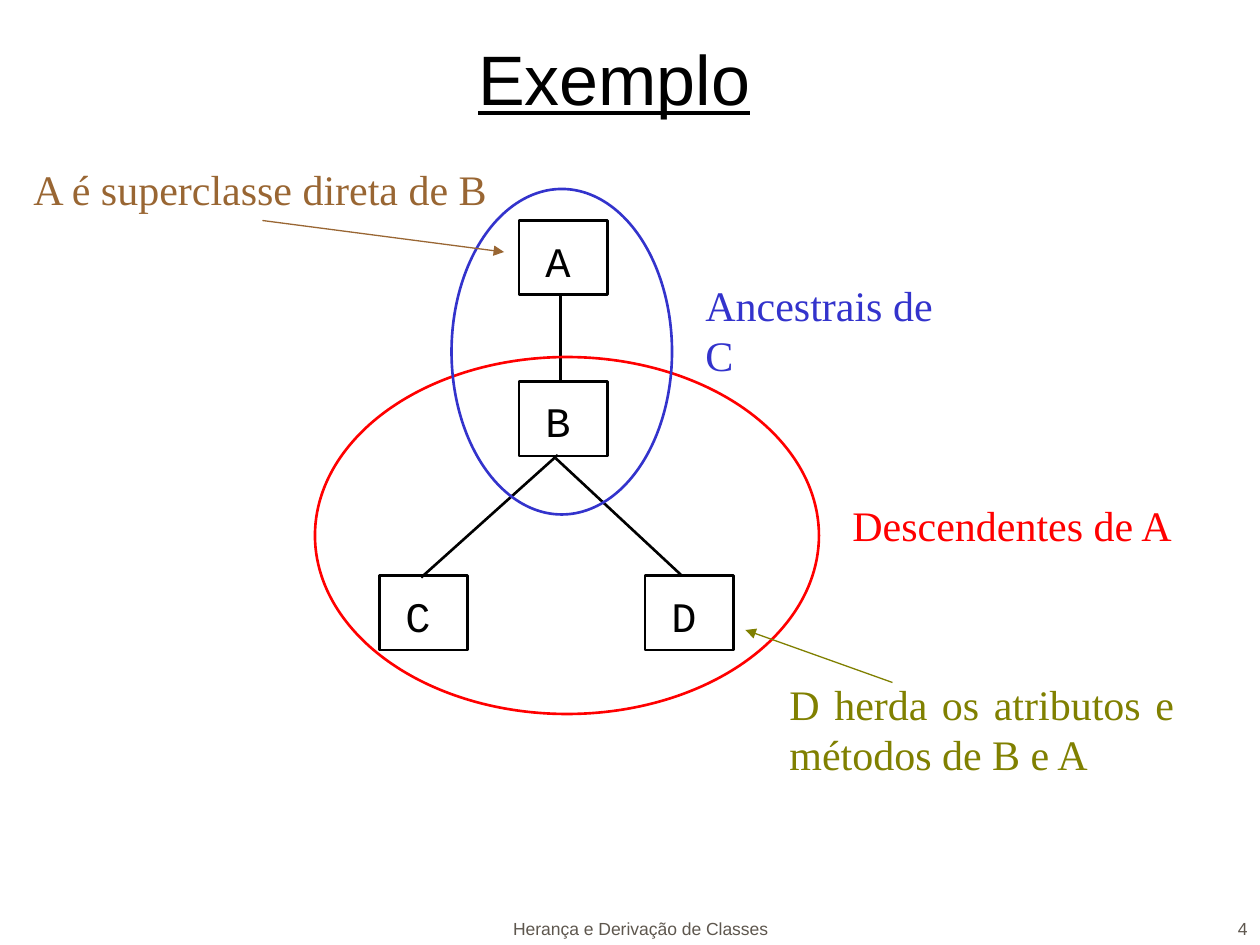
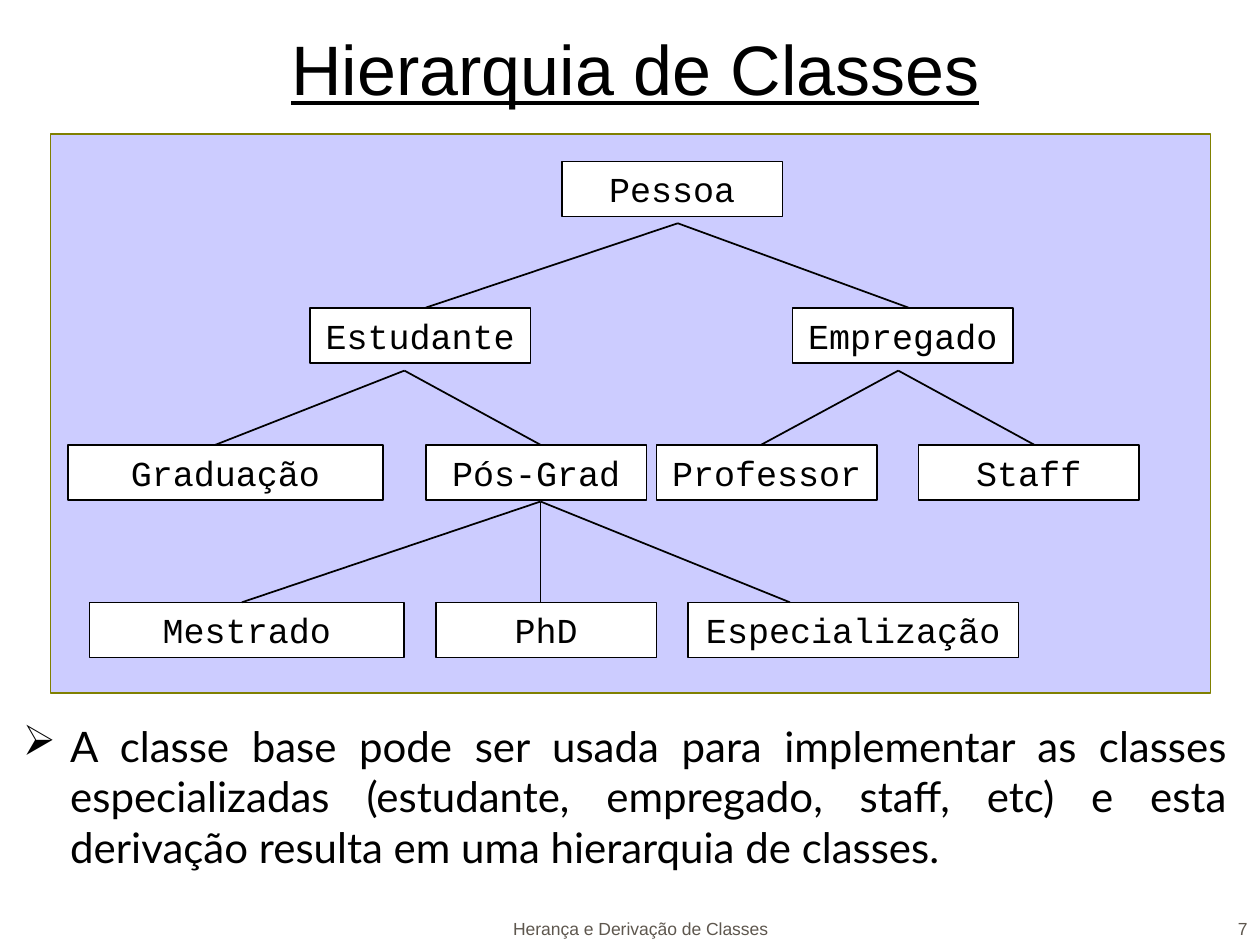
from lxml.etree import SubElement
from pptx import Presentation
from pptx.dml.color import RGBColor
from pptx.enum.shapes import MSO_CONNECTOR, MSO_SHAPE
from pptx.enum.text import MSO_ANCHOR, PP_ALIGN
from pptx.oxml.ns import qn
from pptx.util import Pt

BLACK = RGBColor(0x00, 0x00, 0x00)
WHITE = RGBColor(0xFF, 0xFF, 0xFF)
RED = RGBColor(0xFF, 0x00, 0x00)
BLUE = RGBColor(0x33, 0x33, 0xCC)
BROWN = RGBColor(0x99, 0x66, 0x33)
OLIVE = RGBColor(0x80, 0x80, 0x00)
LAVENDER = RGBColor(0xCC, 0xCC, 0xFF)
FOOTER_GREY = RGBColor(0x5E, 0x57, 0x4E)

SANS, SERIF, MONO, BODY = "Arial", "Times New Roman", "Courier New", "Lato"
FOOTER_TEXT = "Herança e Derivação de Classes"


def points(box):
    return [Pt(length) for length in box]


def write(shape, text, font, size, color, align=PP_ALIGN.LEFT, underline=None):
    paragraph = shape.text_frame.paragraphs[0]
    paragraph.text = text
    paragraph.alignment = align
    run_font = paragraph.runs[0].font
    run_font.name, run_font.size, run_font.underline = font, Pt(size), underline
    run_font.color.rgb = color


def add_text(slide, box, text, font, size, color, align=PP_ALIGN.LEFT,
             anchor=MSO_ANCHOR.TOP, wrap=True, underline=None):
    text_box = slide.shapes.add_textbox(*points(box))
    text_box.text_frame.word_wrap = wrap
    text_box.text_frame.vertical_anchor = anchor
    write(text_box, text, font, size, color, align, underline)
    return text_box


def add_outline(slide, kind, box, line_color, line_width, fill=None):
    shape = slide.shapes.add_shape(kind, *points(box))
    shape.shadow.inherit = False
    if fill is None:
        shape.fill.background()
    else:
        shape.fill.solid()
        shape.fill.fore_color.rgb = fill
    shape.line.color.rgb = line_color
    shape.line.width = Pt(line_width)
    return shape


def add_line(slide, start, end, color, width, arrow=False):
    line = slide.shapes.add_connector(MSO_CONNECTOR.STRAIGHT, *points(start + end))
    line.line.color.rgb = color
    line.line.width = Pt(width)
    if arrow:
        SubElement(line.line._get_or_add_ln(), qn("a:tailEnd"), type="triangle")
    SubElement(line._element.spPr, qn("a:effectLst"))


def add_title(slide, left, top, text):
    add_text(slide, (left, top, 702, 78), text, SANS, 40, BLACK,
             PP_ALIGN.CENTER, MSO_ANCHOR.BOTTOM, underline=True)


def add_footer(slide, number):
    for box, text, align in (((252, 504, 228, 36), FOOTER_TEXT, PP_ALIGN.CENTER),
                             ((570, 504, 150, 36), str(number), PP_ALIGN.RIGHT)):
        add_text(slide, box, text, SANS, 10, FOOTER_GREY, align, MSO_ANCHOR.BOTTOM)


def add_inheritance_tree(slide, left, top):
    """Draw classes A to D and the lines between them."""
    for name, x, y in (("A", 80, 0), ("B", 80, 92), ("C", 0, 203), ("D", 152, 203)):
        add_outline(slide, MSO_SHAPE.RECTANGLE,
                    (left + x, top + y, 50.4, 42.5), BLACK, 1.5)
        label = add_text(slide, (left + x + 15, top + y + 8.3, 14.4, 28.8),
                         name, MONO, 24, BLACK, wrap=False)
        frame = label.text_frame
        frame.margin_left = frame.margin_right = 0
        frame.margin_top = frame.margin_bottom = 0
    for (x1, y1), (x2, y2) in (((103.7, 42), (103.7, 92)),
                               ((102, 134), (24, 204)),
                               ((101, 136), (173, 203))):
        add_line(slide, (left + x1, top + y1), (left + x2, top + y2), BLACK, 1.5)


def add_group_ellipse(slide, box, caption, caption_box, color):
    """Circle related classes and name them in the same colour."""
    add_outline(slide, MSO_SHAPE.OVAL, box, color, 1.5)
    add_text(slide, caption_box, caption, SERIF, 24, color, wrap=False)


def add_callout(slide, box, text, start, end, color, align, wrap):
    """Write a remark and point from it, offsets counted from its corner."""
    left, top = box[:2]
    add_text(slide, box, text, SERIF, 24, color, align, wrap=wrap)
    add_line(slide, (left + start[0], top + start[1]),
             (left + end[0], top + end[1]), color, 0.75, arrow=True)


def add_hierarchy_panel(slide, left, top, width, height):
    """Draw the class hierarchy of people on a coloured panel."""
    row_tops = (15.8, 99.4, 177.8, 267.8)
    narrow, wide, widest = 126, 180, 189
    classes = (
        ("Pessoa", 0, 292.3, narrow),
        ("Estudante", 1, 148.3, narrow), ("Empregado", 1, 424.1, narrow),
        ("Graduação", 2, 10.1, wide), ("Pós-Grad", 2, 214.6, narrow),
        ("Professor", 2, 346.3, narrow), ("Staff", 2, 496.1, narrow),
        ("Mestrado", 3, 22.3, wide), ("PhD", 3, 220.3, narrow),
        ("Especialização", 3, 364.3, widest),
    )
    # Apex of each fork, the row it leads to, and where its branches end
    forks = (
        ((358.5, 51.2), 1, (214.6, 490.3)),
        ((202.3, 135.4), 2, (94.3, 280.1)),
        ((484.5, 135.4), 2, (406.1, 562.3)),
        ((280.1, 210.2), 3, (109.4, 280.1, 422.6)),
    )
    add_outline(slide, MSO_SHAPE.RECTANGLE, (left, top, width, height),
                OLIVE, 1, LAVENDER)
    for name, row, x, class_width in classes:
        shape = add_outline(slide, MSO_SHAPE.RECTANGLE,
                            (left + x, top + row_tops[row], class_width, 31.5),
                            BLACK, 1, WHITE)
        shape.text_frame.word_wrap = True
        shape.text_frame.vertical_anchor = MSO_ANCHOR.MIDDLE
        write(shape, name, MONO, 20, BLACK, PP_ALIGN.CENTER)
    for (x, y), row, branch_ends in forks:
        for end in branch_ends:
            add_line(slide, (left + x, top + y),
                     (left + end, top + row_tops[row]), BLACK, 1)


def add_bullet_text(slide, box, text):
    text_box = add_text(slide, box, text, BODY, 24, BLACK, PP_ALIGN.JUSTIFY)
    properties = text_box.text_frame.paragraphs[0]._p.get_or_add_pPr()
    properties.set("marL", str(Pt(27)))
    properties.set("indent", str(Pt(-27)))
    color = SubElement(properties, qn("a:buClr"))
    SubElement(color, qn("a:srgbClr"), val=str(BLACK))
    SubElement(properties, qn("a:buChar"), char="➢")


def build_example(slide):
    add_inheritance_tree(slide, 216.7, 126)
    add_title(slide, 0, -6, "Exemplo")
    add_group_ellipse(slide, (180, 204, 288, 204), "Descendentes de A",
                      (480, 282, 198, 36), RED)
    add_group_ellipse(slide, (258, 108, 126, 186), "Ancestrais de C",
                      (396, 156, 166, 36), BLUE)
    add_callout(slide, (12, 90, 275, 36), "A é superclasse direta de B",
                (138, 36), (276, 54), BROWN, PP_ALIGN.LEFT, False)
    add_callout(slide, (444, 384, 234, 65), "D herda os atributos e métodos de B e A",
                (66, 6), (-18, -24), OLIVE, PP_ALIGN.JUSTIFY, True)
    add_footer(slide, 4)


def build_hierarchy(slide):
    add_title(slide, 12, -12, "Hierarquia de Classes")
    add_bullet_text(slide, (6, 408, 702, 192),
                    "A classe base pode ser usada para implementar as classes "
                    "especializadas (estudante, empregado, staff, etc) e esta "
                    "derivação resulta em uma hierarquia de classes.")
    add_hierarchy_panel(slide, 28.8, 76.4, 663, 319.6)
    add_footer(slide, 7)


def main():
    presentation = Presentation()
    presentation.slide_width, presentation.slide_height = Pt(720), Pt(540)
    blank_layout = presentation.slide_layouts[6]
    for build in (build_example, build_hierarchy):
        build(presentation.slides.add_slide(blank_layout))
    presentation.save("out.pptx")


if __name__ == "__main__":
    main()
